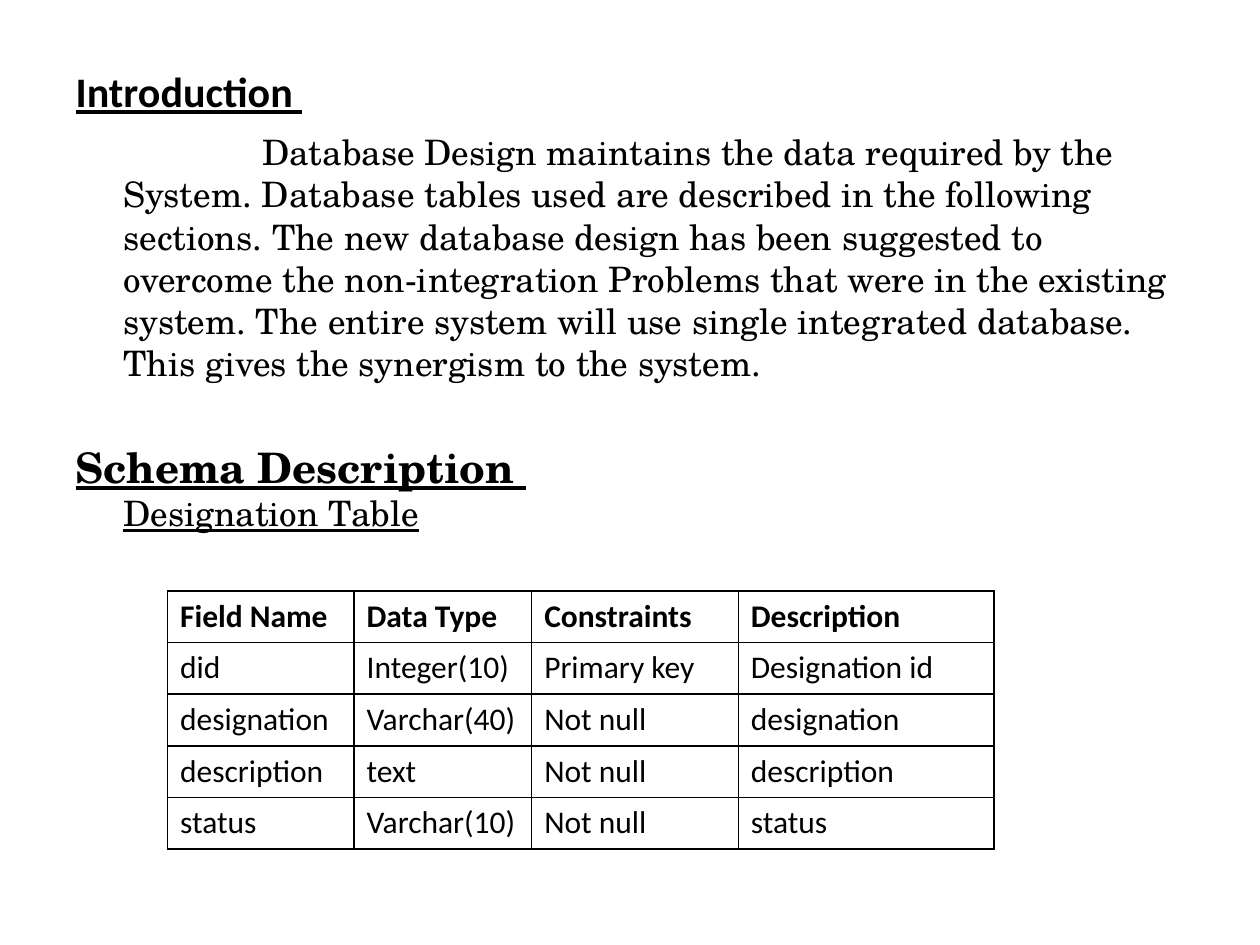
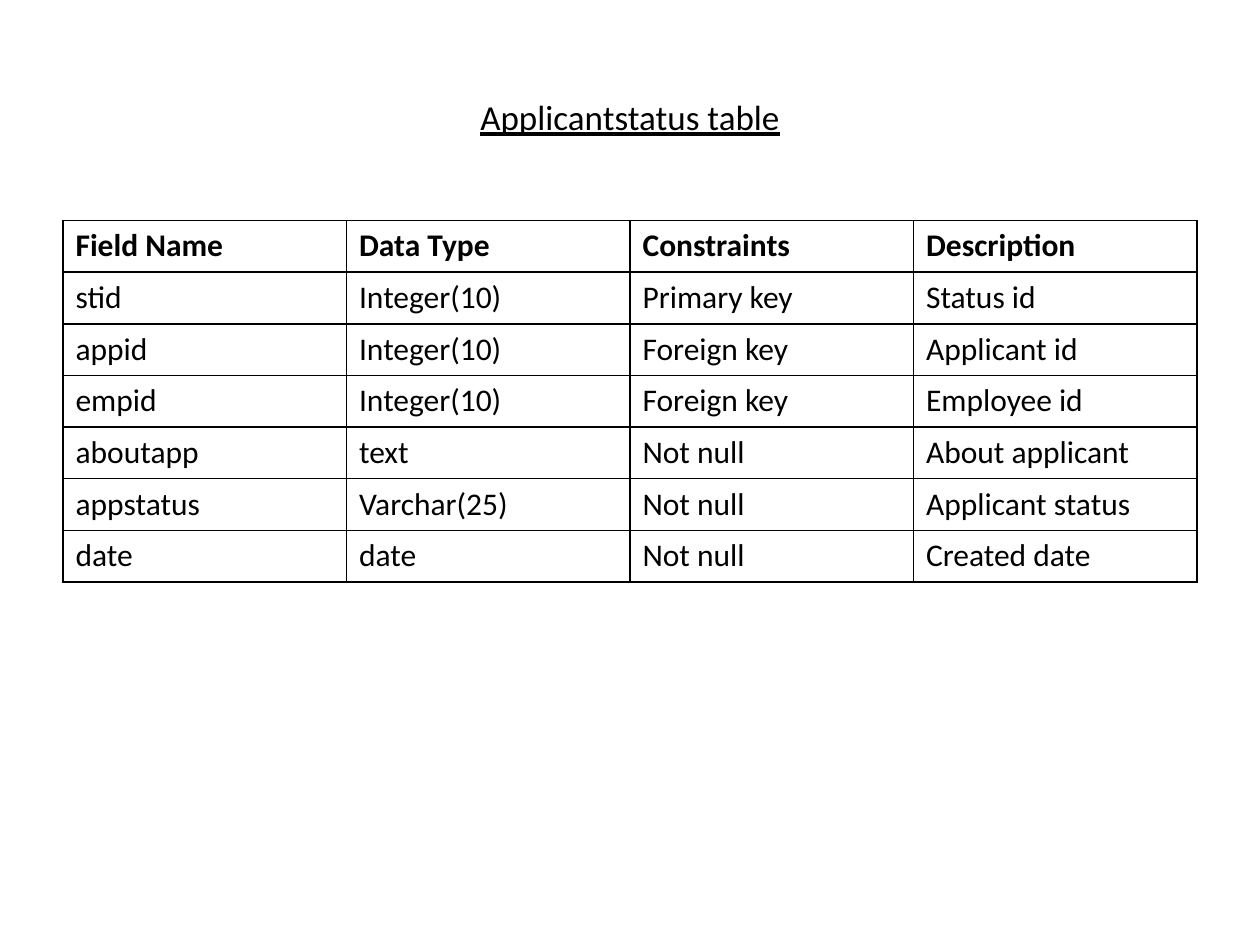
from dataclasses import dataclass

import pptx
import pptx.dml.color
import pptx.enum.text
import pptx.oxml
import pptx.oxml.ns
import pptx.util
from pptx.util import Inches, Pt


@dataclass(frozen=True)
class Theme:
    ink: str = "000000"
    sans: str = "Calibri"
    serif: str = "TeX Gyre Schola"
    heading: int = 24
    text: int = 20
    cell: int = 18
    border: float = 1
    row: float = 0.41


THEME = Theme()
HANG = 0.38

HEADER = ("Field Name", "Data Type", "Constraints", "Description")
# text, font, size, bold, underline, left margin, first-line indent, space before
SCHEMA_INTRO = [
    ("Introduction ", THEME.sans, THEME.heading, True, True, HANG, -HANG, 0),
    ("Database Design maintains the data required by the System. "
     "Database tables used are described in the following sections. "
     "The new database design has been suggested to overcome the "
     "non-integration Problems that were in the existing system. "
     "The entire system will use single integrated database. "
     "This gives the synergism to the system.",
     THEME.serif, THEME.text, False, False, HANG, 1.1, 8.6),
    ("Schema Description ", THEME.serif, THEME.heading, True, True, HANG, -HANG, 33.4),
    ("Designation Table", THEME.serif, THEME.text, False, True, HANG, 0, 0),
]
DESIGNATION = [
    ("did", "Integer(10)", "Primary key", "Designation id"),
    ("designation", "Varchar(40)", "Not null", "designation"),
    ("description", "text", "Not null", "description"),
    ("status", "Varchar(10)", "Not null", "status"),
]
APPLICANT_TITLE = "Applicantstatus table"
APPLICANT_STATUS = [
    ("stid", "Integer(10)", "Primary key", "Status id"),
    ("appid", "Integer(10)", "Foreign key", "Applicant id"),
    ("empid", "Integer(10)", "Foreign key", "Employee id"),
    ("aboutapp", "text", "Not null", "About applicant"),
    ("appstatus", "Varchar(25)", "Not null", "Applicant status"),
    ("date", "date", "Not null", "Created date"),
]


def add_run(p, text, font, size, bold=False, underline=False):
    r = p.add_run()
    r.text = text
    r.font.name = font
    r.font.size = Pt(size)
    r.font.bold = bold
    r.font.underline = underline
    r.font.color.rgb = pptx.dml.color.RGBColor.from_string(THEME.ink)


def place(sp, left, top, width, height):
    sp.left, sp.top = Inches(left), Inches(top)
    sp.width, sp.height = Inches(width), Inches(height)
    sp.text_frame.auto_size = pptx.enum.text.MSO_AUTO_SIZE.NONE


def add_borders(cell):
    tcPr = cell._tc.get_or_add_tcPr()
    for side in ("lnL", "lnR", "lnT", "lnB"):
        tcPr.append(pptx.oxml.parse_xml(
            f'<a:{side} {pptx.oxml.ns.nsdecls("a")} w="{Pt(THEME.border)}">'
            f'<a:solidFill><a:srgbClr val="{THEME.ink}"/></a:solidFill></a:{side}>'))


def add_schema_table(s, fields, left, top, widths):
    """Add a field list under the shared header row."""
    rows = [HEADER] + fields
    table = s.shapes.add_table(
        len(rows), len(HEADER), Inches(left), Inches(top),
        Inches(sum(widths)), Inches(THEME.row * len(rows))).table
    table.first_row = table.horz_banding = False
    for column, width in zip(table.columns, widths):
        column.width = Inches(width)
    for i, row in enumerate(rows):
        for j, text in enumerate(row):
            cell = table.cell(i, j)
            add_borders(cell)
            cell.fill.background()
            add_run(cell.text_frame.paragraphs[0], text, THEME.sans, THEME.cell, bold=i == 0)


def build_introduction(prs):
    s = prs.slides.add_slide(prs.slide_layouts[1])
    title, body = s.placeholders
    title._element.getparent().remove(title._element)
    place(body, 0.5, 0.47, 9, 6.33)
    tf = body.text_frame
    for i, (text, font, size, bold, underline, left, first, before) in enumerate(SCHEMA_INTRO):
        p = tf.add_paragraph() if i else tf.paragraphs[0]
        p.space_before = Pt(before)
        pPr = p._p.get_or_add_pPr()
        pPr.set("marL", str(Inches(left)))
        pPr.set("indent", str(Inches(first)))
        pPr.append(pptx.oxml.parse_xml(f'<a:buNone {pptx.oxml.ns.nsdecls("a")}/>'))
        add_run(p, text, font, size, bold, underline)
    add_schema_table(s, DESIGNATION, 1.33, 4.69, [1.48, 1.41, 1.64, 2.03])


def build_applicant_status(prs):
    s = prs.slides.add_slide(prs.slide_layouts[5])
    title = s.shapes.title
    place(title, 0.5, 0.3, 9, 1.25)
    title.text_frame.vertical_anchor = pptx.enum.text.MSO_ANCHOR.MIDDLE
    p = title.text_frame.paragraphs[0]
    p.alignment = pptx.enum.text.PP_ALIGN.CENTER
    add_run(p, APPLICANT_TITLE, THEME.sans, THEME.text, underline=True)
    add_schema_table(s, APPLICANT_STATUS, 0.5, 1.75, [9 / len(HEADER)] * len(HEADER))


def main():
    prs = pptx.Presentation()
    prs.slide_width, prs.slide_height = Inches(10), Inches(7.5)
    build_introduction(prs)
    build_applicant_status(prs)
    prs.save("out.pptx")


if __name__ == "__main__":
    main()
